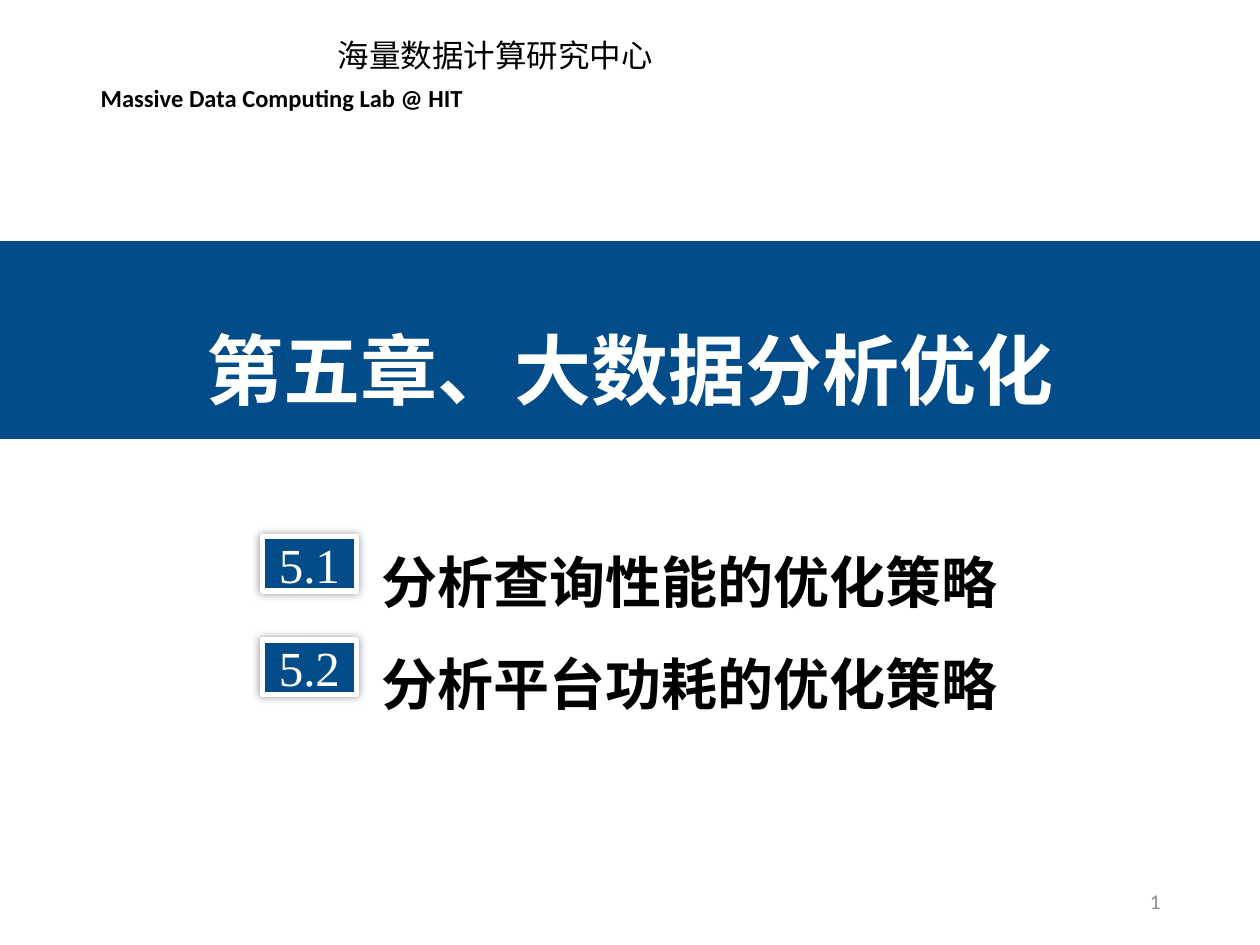
from dataclasses import dataclass
from typing import Optional

from lxml.etree import SubElement as Sub
from pptx import Presentation
from pptx.dml.color import RGBColor as RGB
from pptx.enum.shapes import MSO_SHAPE as Kind
from pptx.enum.text import MSO_ANCHOR as Anchor, MSO_AUTO_SIZE as Fit, PP_ALIGN as Align
from pptx.oxml.ns import qn
from pptx.util import Pt


@dataclass(frozen=True)
class Style:
    font: str
    size: float
    color: RGB
    bold: bool = False
    align: Align = Align.LEFT
    line: Optional[float] = None


@dataclass(frozen=True)
class Box:
    left: float
    top: float
    width: float
    height: float

    def lengths(self) -> tuple:
        return Pt(self.left), Pt(self.top), Pt(self.width), Pt(self.height)


@dataclass(frozen=True)
class Topic:
    number: str
    name: str


class Theme:
    blue = RGB(0x02, 0x4C, 0x89)
    white = RGB(0xFF, 0xFF, 0xFF)
    black = RGB(0, 0, 0)
    gray = RGB(0x8C, 0x8C, 0x8C)
    center = Style("Noto Sans CJK JP", 18, black, line=23)
    lab = Style("Calibri", 14, black, bold=True)
    title = Style("Noto Sans CJK SC", 44, white, True, Align.CENTER, 78)
    topic = Style("Noto Sans CJK SC", 32, black, True, line=58)
    badge = Style("Times New Roman", 28, white, align=Align.CENTER)
    page = Style("Calibri", 12, gray, align=Align.RIGHT)


TOPICS = [
    Topic("5.1", "分析查询性能的优化策略"),
    Topic("5.2", "分析平台功耗的优化策略"),
]
BADGE = Box(149.8, 306.7, 54, 31)
PITCH = 59


def write(shape, lines: list[str], style: Style, anchor: Anchor = Anchor.TOP) -> None:
    frame = shape.text_frame
    frame.text = "\n".join(lines)
    frame.word_wrap = True
    frame.auto_size = Fit.NONE
    frame.vertical_anchor = anchor
    for para in frame.paragraphs:
        para.alignment = style.align
        if style.line:
            para.line_spacing = Pt(style.line)
        font = para.font
        font.name, font.size, font.bold = style.font, Pt(style.size), style.bold
        font.color.rgb = style.color
        for run in para.runs:
            # East Asian text takes its typeface from a:ea.
            Sub(run.font._element, qn("a:ea"), typeface=style.font)


def add_text(slide, box: Box, lines: list[str], style: Style, anchor: Anchor = Anchor.TOP):
    shape = slide.shapes.add_textbox(*box.lengths())
    write(shape, lines, style, anchor)
    return shape


def add_rect(slide, box: Box, edge: RGB, weight: float):
    shape = slide.shapes.add_shape(Kind.RECTANGLE, *box.lengths())
    shape.shadow.inherit = False
    shape.fill.solid()
    shape.fill.fore_color.rgb = Theme.blue
    shape.line.color.rgb = edge
    shape.line.width = Pt(weight)
    return shape


def add_glow(shape) -> None:
    """Give the shape a soft, centred black shadow."""
    effects = shape._element.spPr.find(qn("a:effectLst"))
    outer = Sub(effects, qn("a:outerShdw"), blurRad=str(Pt(5)), dist="0", dir="0")
    color = Sub(outer, qn("a:srgbClr"), val="000000")
    Sub(color, qn("a:alpha"), val="40000")


def add_page(slide, box: Box) -> None:
    """Add the slide number as a live field."""
    shape = add_text(slide, box, ["1"], Theme.page, Anchor.MIDDLE)
    run = shape.text_frame.paragraphs[0].runs[0]._r
    run.tag = qn("a:fld")
    run.set("id", "{B6F15528-21DE-4FAA-801E-634DDDAF4B2B}")
    run.set("type", "slidenum")


def add_title(slide, text: str) -> None:
    band = add_rect(slide, Box(0, 138.2, 720, 112.3), Theme.blue, 1)
    title = slide.shapes.title
    title.left, title.top, title.width, title.height = Box(0, 155.5, 720, 82).lengths()
    write(title, [text], Theme.title)
    title._element.addprevious(band._element)


def add_topics(slide) -> None:
    names = add_text(slide, Box(211, 287.3, 401.8, 181.4),
                     [topic.name for topic in TOPICS], Theme.topic)
    names.text_frame.margin_top = Pt(6)
    for row, topic in enumerate(TOPICS):
        box = Box(BADGE.left, BADGE.top + row * PITCH, BADGE.width, BADGE.height)
        badge = add_rect(slide, box, Theme.white, 3)
        add_glow(badge)
        write(badge, [topic.number], Theme.badge, Anchor.MIDDLE)


def main() -> None:
    deck = Presentation()
    deck.slide_width, deck.slide_height = Pt(720), Pt(540)
    slide = deck.slides.add_slide(deck.slide_layouts[5])
    add_title(slide, "第五章、大数据分析优化")
    add_text(slide, Box(185.8, 15.8, 215.3, 28.8), ["海量数据计算研究中心"], Theme.center)
    add_text(slide, Box(50.4, 43.9, 284.4, 24.5), ["Massive Data Computing Lab @ HIT"], Theme.lab)
    add_topics(slide)
    add_page(slide, Box(508.3, 500.4, 162, 28.8))
    deck.save("out.pptx")


if __name__ == "__main__":
    main()
